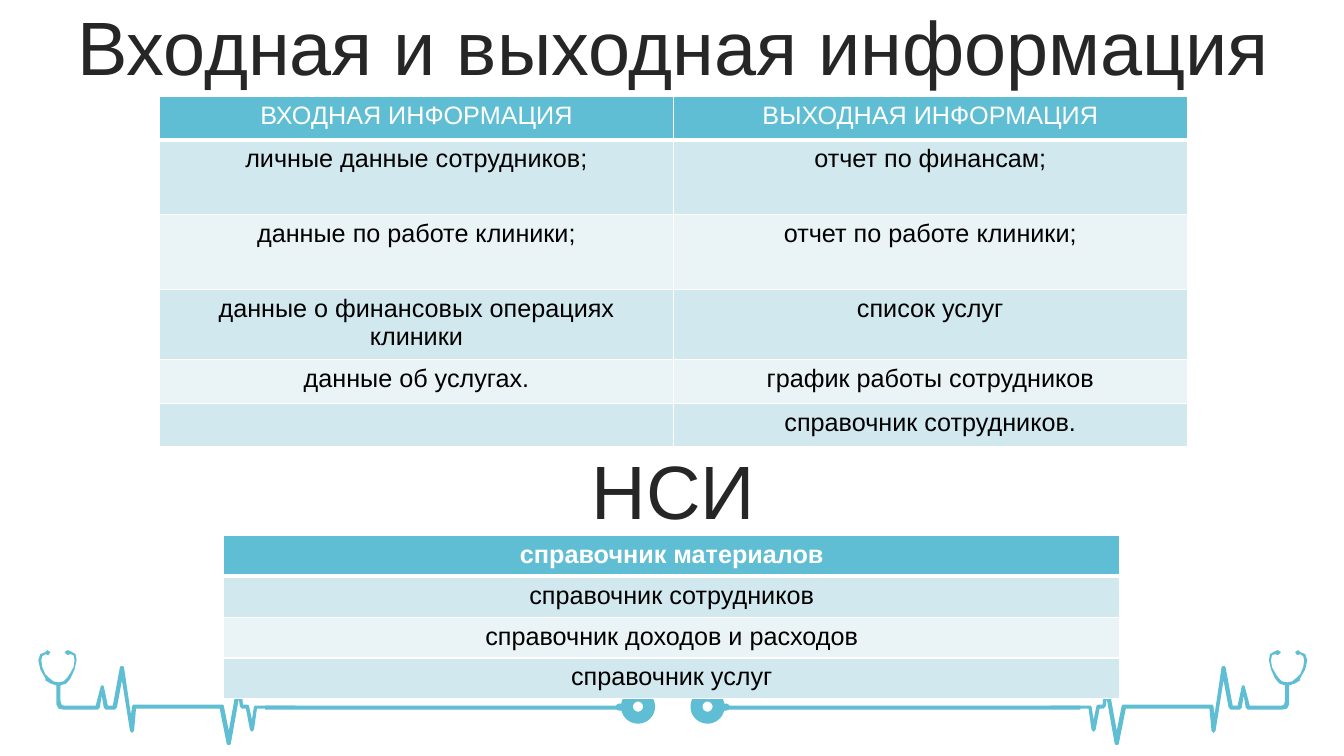
from lxml import etree
from pptx import Presentation
from pptx.dml.color import RGBColor
from pptx.enum.shapes import MSO_SHAPE as Shape
from pptx.enum.text import MSO_ANCHOR as Anchor, PP_ALIGN as Align
from pptx.oxml.ns import qn
from pptx.util import Cm, Pt

COLORS = {
    "accent": "60BED4",
    "band_dark": "D2E8EF",
    "band_light": "EAF4F7",
    "title": "262626",
    "text": "000000",
    "white": "FFFFFF",
}
FONT = "Arial"


def add_run(paragraph, text, size, color, bold=False):
    paragraph.alignment = Align.CENTER
    run = paragraph.add_run()
    run.text = text
    run.font.name = FONT
    run.font.size = Pt(size)
    run.font.bold = bold
    run.font.color.rgb = RGBColor.from_string(COLORS[color])


def add_border(cell, side, width):
    line = etree.SubElement(cell._tc.get_or_add_tcPr(), qn(f"a:{side}"), w=str(Pt(width)))
    fill = etree.SubElement(line, qn("a:solidFill"))
    etree.SubElement(fill, qn("a:srgbClr"), val=COLORS["white"])


presentation = Presentation()
presentation.slide_width = Cm(33.87)
presentation.slide_height = Cm(19.05)
slide = presentation.slides.add_slide(presentation.slide_layouts[6])
accent = RGBColor.from_string(COLORS["accent"])

# Stethoscope and pulse, in hundredths of an inch; the right side mirrors the left
UNIT = Cm(2.54) // 100
MIRROR_SUM = 1335
PULSE_OUTLINE = [
    # Earpieces and bow
    (38, 655), (40, 649), (45, 647), (47, 645), (50, 647), (48, 650), (45, 649),
    (42, 651), (41, 655), (42, 662), (45, 669), (48, 672), (53, 676), (58, 677),
    (63, 676), (67, 672), (69, 669), (73, 662), (74, 655), (73, 650), (70, 649),
    (67, 650), (64, 647), (67, 645), (70, 646), (75, 649), (76, 655), (74, 664),
    (70, 673), (66, 678), (60, 680),
    # Upper edge of the pulse
    (60, 695), (61, 699), (63, 700), (95, 700), (100, 681), (101, 680), (102, 680),
    (103, 681), (107, 700), (112, 700), (119, 662), (120, 661), (122, 661),
    (123, 662), (130, 709), (131, 701), (132, 699), (221, 699), (222, 700),
    (227, 725), (236, 675), (237, 674), (238, 674), (239, 675), (241, 699),
    (245, 699), (247, 700), (250, 714), (252, 701), (253, 700), (293, 700),
    # Lower edge of the pulse, back to the bow
    (293, 703), (255, 703), (252, 724), (250, 726), (248, 724), (244, 703),
    (240, 703), (238, 701), (237, 693), (229, 738), (228, 739), (226, 739),
    (225, 738), (218, 703), (135, 703), (133, 725), (131, 727), (129, 725),
    (121, 675), (116, 702), (114, 704), (105, 704), (103, 702), (101, 690),
    (99, 702), (97, 704), (63, 704), (58, 703), (56, 699), (56, 680), (50, 678),
    (45, 675), (45, 673), (40, 664),
]
STETHOSCOPE_PARTS = [
    (Shape.OVAL, 622, 690, 22, 22),
    (Shape.ROUNDED_RECTANGLE, 611, 698, 11, 7),
    (Shape.RECTANGLE, 263, 700, 356, 4),
]
for mirrored in (True, False):
    outline = [(MIRROR_SUM - x if mirrored else x, y) for x, y in PULSE_OUTLINE]
    builder = slide.shapes.build_freeform(*outline[0], scale=UNIT)
    builder.add_line_segments(outline[1:], close=True)
    pulse = builder.convert_to_shape()
    pulse.shadow.inherit = False
    pulse.fill.solid()
    pulse.fill.fore_color.rgb = accent
    pulse.line.fill.background()
    for kind, left, top, width, height in STETHOSCOPE_PARTS:
        if mirrored:
            left = MIRROR_SUM - left - width
        part = slide.shapes.add_shape(
            kind, left * UNIT, top * UNIT, width * UNIT, height * UNIT)
        part.shadow.inherit = False
        if kind == Shape.OVAL:
            part.fill.background()
            part.line.color.rgb = accent
            part.line.width = Pt(8.57)
            continue
        part.fill.solid()
        part.fill.fore_color.rgb = accent
        part.line.fill.background()
        if kind == Shape.ROUNDED_RECTANGLE:
            part.adjustments[0] = 0.5

# Headings
for heading, top in [("Входная и выходная информация", 0.28), ("НСИ", 11.48)]:
    box = slide.shapes.add_textbox(Cm(0.89), Cm(top), Cm(32.16), Cm(2.01))
    frame = box.text_frame
    frame.word_wrap = True
    frame.vertical_anchor = Anchor.MIDDLE
    paragraph = frame.paragraphs[0]
    paragraph.line_spacing = 0.9
    paragraph.space_before = Pt(10)
    add_run(paragraph, heading, 54, "title")

# Tables: left, top, column width, row heights, bold header, rows
TABLES = [
    (4.02, 2.44, 12.95, [1.09, 1.88, 1.88, 1.09, 1.09, 1.09], False, [
        ("ВХОДНАЯ ИНФОРМАЦИЯ", "ВЫХОДНАЯ ИНФОРМАЦИЯ"),
        ("личные данные сотрудников;", "отчет по финансам;"),
        ("данные по работе клиники;", "отчет по работе клиники;"),
        ("данные о финансовых операциях клиники", "список услуг"),
        ("данные об услугах.", "график работы сотрудников"),
        ("", "справочник сотрудников."),
    ]),
    (5.64, 13.49, 22.58, [1.03] * 4, True, [
        ("справочник материалов",),
        ("справочник сотрудников",),
        ("справочник доходов и расходов",),
        ("справочник услуг",),
    ]),
]
for left, top, column_width, heights, bold_header, rows in TABLES:
    columns = len(rows[0])
    table = slide.shapes.add_table(
        len(rows), columns, Cm(left), Cm(top),
        Cm(column_width * columns), Cm(sum(heights))).table
    for column in table.columns:
        column.width = Cm(column_width)
    for row_index, texts in enumerate(rows):
        table.rows[row_index].height = Cm(heights[row_index])
        is_header = row_index == 0
        band = "accent" if is_header else "band_dark" if row_index % 2 else "band_light"
        for column_index, text in enumerate(texts):
            cell = table.cell(row_index, column_index)
            add_border(cell, "lnL", 1)
            add_border(cell, "lnR", 1)
            add_border(cell, "lnT", 3 if row_index == 1 else 1)
            add_border(cell, "lnB", 3 if is_header else 1)
            cell.fill.solid()
            cell.fill.fore_color.rgb = RGBColor.from_string(COLORS[band])
            if text:
                add_run(cell.text_frame.paragraphs[0], text, 18,
                        "white" if is_header else "text", is_header and bold_header)

presentation.save("out.pptx")
